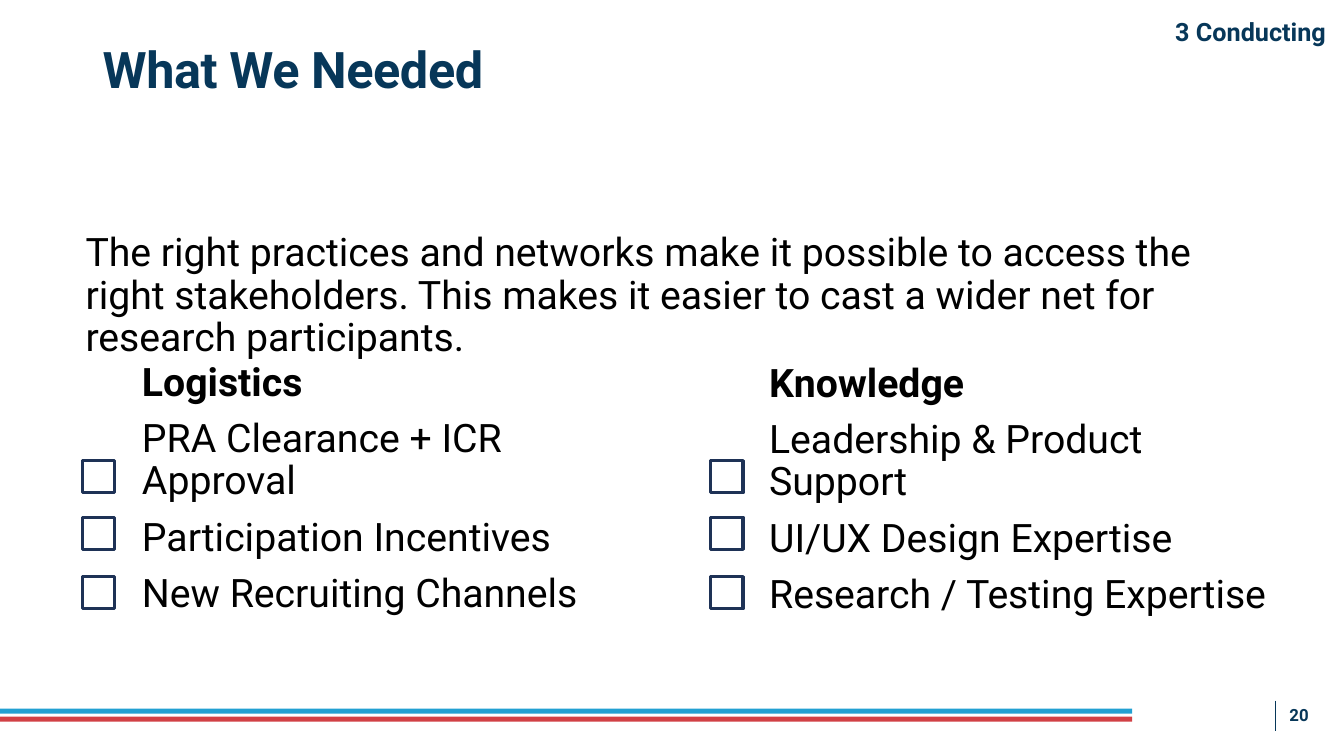
from pptx import Presentation
from pptx.dml.color import RGBColor
from pptx.enum.shapes import MSO_CONNECTOR, MSO_SHAPE
from pptx.enum.text import MSO_ANCHOR, PP_ALIGN
from pptx.oxml.ns import qn
from pptx.util import Inches, Pt
from lxml import etree

RECT = MSO_SHAPE.RECTANGLE
STRAIGHT = MSO_CONNECTOR.STRAIGHT
TOP, MIDDLE, BOTTOM = MSO_ANCHOR.TOP, MSO_ANCHOR.MIDDLE, MSO_ANCHOR.BOTTOM
LEFT, RIGHT = PP_ALIGN.LEFT, PP_ALIGN.RIGHT
FONT = "Roboto"
COLORS = {"navy": "073759", "box": "1E3256", "blue": "22A0D2",
          "red": "D14045", "text": "000000"}


def color(name):
    """Return the named colour."""
    return RGBColor.from_string(COLORS[name])


def add_text(s, box, lines, size, ink="text", anchor=TOP, align=LEFT,
             spacing=1.0, before=0, inset=(0.1, 0.05), tracking=None):
    """Add a text box of (text, bold) lines in the given box."""
    tf = s.shapes.add_textbox(*map(Inches, box)).text_frame
    tf.word_wrap = True
    tf.vertical_anchor = anchor
    tf.margin_left = tf.margin_right = Inches(inset[0])
    tf.margin_top = tf.margin_bottom = Inches(inset[1])
    for i, (text, bold) in enumerate(lines):
        p = tf.add_paragraph() if i else tf.paragraphs[0]
        p.alignment = align
        p.line_spacing = spacing
        p.space_before = Pt(before if i else 0)
        r = p.add_run()
        r.text = text
        r.font.name = FONT
        r.font.size = Pt(size)
        r.font.bold = bold
        r.font.color.rgb = color(ink)
        if tracking is not None:
            r._r.get_or_add_rPr().set("spc", str(tracking))


def add_rect(s, box, fill=None, line=None):
    """Add a rectangle with either a fill or an outline."""
    sp = s.shapes.add_shape(RECT, *map(Inches, box))
    sp.shadow.inherit = False
    if fill:
        sp.fill.solid()
        sp.fill.fore_color.rgb = color(fill)
    else:
        sp.fill.background()
    if line:
        sp.line.color.rgb = color(line)
        sp.line.width = Pt(2.25)
    else:
        sp.line.fill.background()


def add_header(s, x, y, w):
    """Add the title and the section tag above it."""
    add_text(s, (x, y, w, 1.45), [("What We Needed", True)], 36, "navy",
             spacing=0.9, tracking=-30)
    add_text(s, (x + 9.33, y - 0.29, 3, 0.4), [("3 Conducting", True)], 18,
             "navy", align=RIGHT)


def add_intro(s, box):
    """Add the introductory paragraph."""
    text = ("The right practices and networks make it possible to access the "
            "right\u00a0stakeholders. This makes it easier to cast a wider net for "
            "research\u00a0participants.")
    add_text(s, box, [(text, False)], 28, anchor=BOTTOM, spacing=0.9)


def add_checklist(s, x, y, w, h, heading, items, box_x):
    """Add a headed list with a checkbox beside each item."""
    for box_y in (4.57, 5.13, 5.72):
        add_rect(s, (box_x, box_y, 0.32, 0.32), line="box")
    lines = [(heading, True)] + [(item, False) for item in items]
    add_text(s, (x, y, w, h), lines, 28, anchor=BOTTOM, spacing=0.9, before=10)


def add_footer(s, y, number):
    """Add the two stripes, the divider and the page number."""
    for i, stripe in enumerate(("blue", "red")):
        add_rect(s, (0, y + 0.08 * (i + 1), 11.23, 0.05), fill=stripe)
    divider = s.shapes.add_connector(STRAIGHT, Inches(12.65), Inches(y),
                                     Inches(12.65), Inches(y + 0.3))
    divider.line.color.rgb = color("navy")
    divider.line.width = Pt(1)
    etree.SubElement(divider._element.spPr, qn("a:effectLst"))
    add_text(s, (12.67, y - 0.01, 0.31, 0.31), [(number, True)], 12, "navy",
             anchor=MIDDLE, align=RIGHT, inset=(0, 0))


def main():
    """Build the slide and save it."""
    prs = Presentation()
    prs.slide_width, prs.slide_height = Inches(13.33), Inches(7.5)
    s = prs.slides.add_slide(prs.slide_layouts[6])
    add_footer(s, 6.95, "20")
    add_header(s, 0.92, 0.4, 11.5)
    add_intro(s, (0.75, 2.13, 11.91, 1.49))
    add_checklist(s, 1.31, 3.55, 5.18, 2.61, "Logistics",
                  ["PRA Clearance + ICR Approval", "Participation Incentives",
                   "New Recruiting Channels"], 0.82)
    add_checklist(s, 7.53, 3.56, 5.18, 2.61, "Knowledge",
                  ["Leadership & Product Support", "UI/UX Design Expertise",
                   "Research / Testing Expertise"], 7.05)
    prs.save("out.pptx")


if __name__ == "__main__":
    main()
